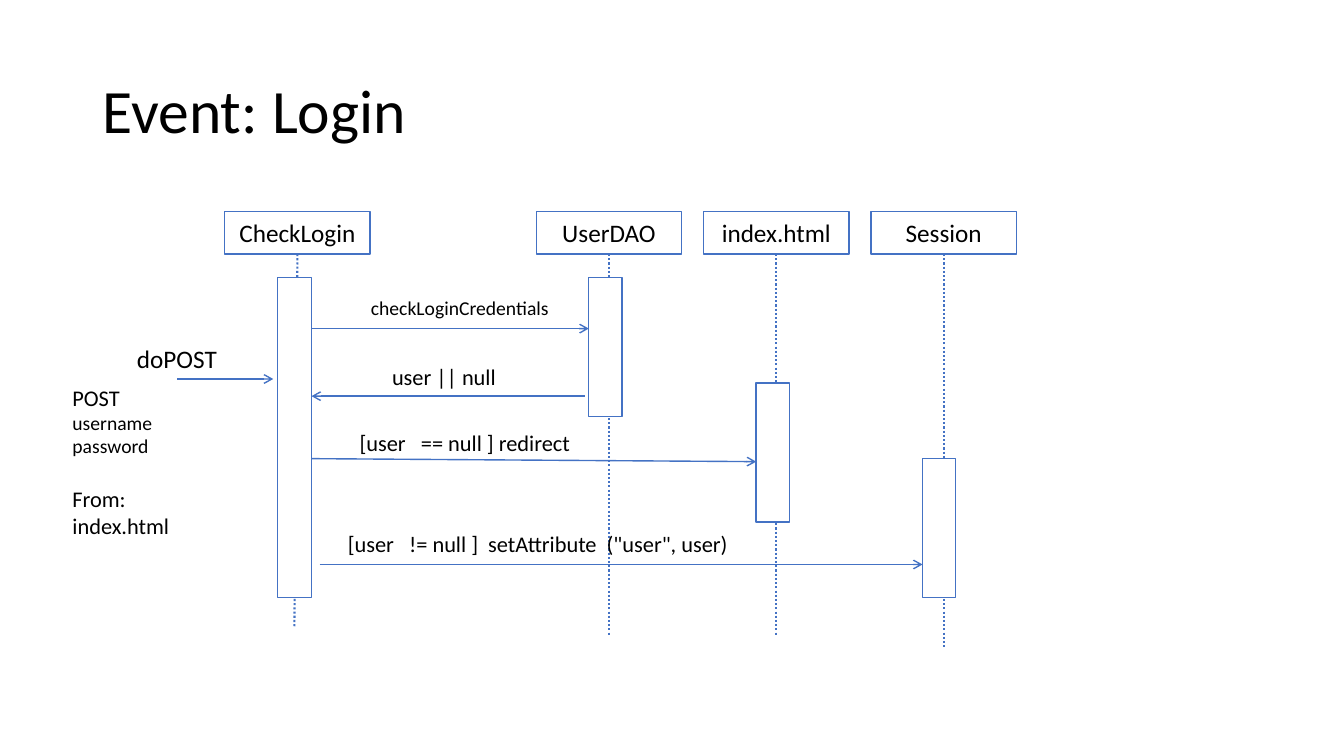
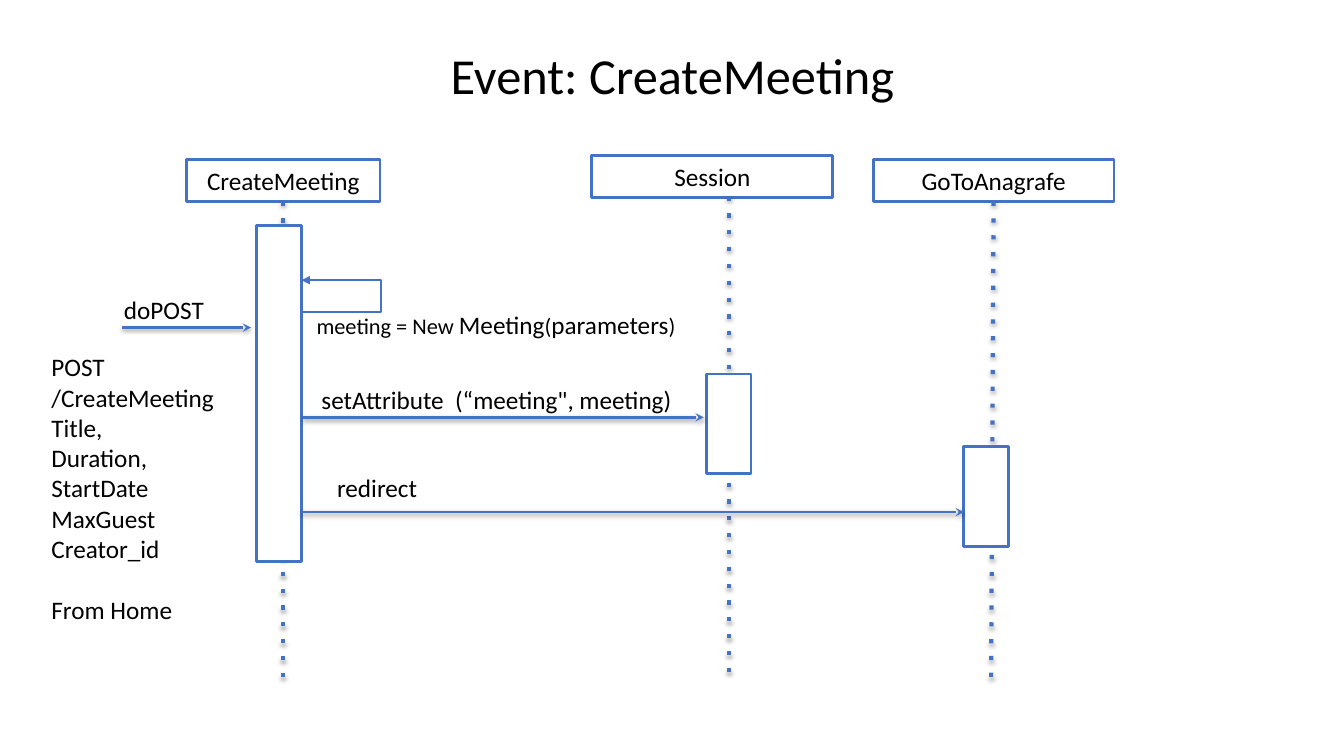
from dataclasses import dataclass

from lxml import etree
from pptx import Presentation
from pptx import util as u
from pptx.dml import color as dml
from pptx.enum import shapes, text
from pptx.oxml import ns

HUES = {"ink": "000000", "paper": "FFFFFF", "line": "4472C4"}
FONT = "Calibri"
HEAD = 0.42
LEFT, MID = text.PP_ALIGN.LEFT, text.PP_ALIGN.CENTER

Point = tuple[float, float]
Box = tuple[float, float, float, float]


@dataclass(frozen=True)
class Look:
    edge: float
    dots: float
    dash: str
    tip: str
    pad: Point
    shade: bool


@dataclass(frozen=True)
class Para:
    runs: tuple[tuple[str, float], ...]
    gap: float = 0


@dataclass(frozen=True)
class Label:
    at: Box
    paras: list[Para]
    align: text.PP_ALIGN = LEFT
    wrap: bool = True
    grow: bool = False
    pad: Point = (0.1, 0.05)


@dataclass(frozen=True)
class Lane:
    name: str
    head: tuple[float, float, float]
    start: Point
    end: Point
    bar: Box


@dataclass(frozen=True)
class Call:
    start: Point
    end: Point


@dataclass(frozen=True)
class Page:
    title: Label
    look: Look
    lanes: list[Lane]
    calls: list[Call]
    labels: list[Label]


def one(words: str, size: float, gap: float = 0) -> Para:
    return Para(((words, size),), gap)


def tint(name: str) -> dml.RGBColor:
    return dml.RGBColor.from_string(HUES[name])


def node(parent, tag: str, **attrs):
    return etree.SubElement(parent, ns.qn(tag), attrs)


def write(frame, paras: list[Para], align: text.PP_ALIGN, pad: Point) -> None:
    frame.margin_left = frame.margin_right = u.Inches(pad[0])
    frame.margin_top = frame.margin_bottom = u.Inches(pad[1])
    for i, para in enumerate(paras):
        line = frame.add_paragraph() if i else frame.paragraphs[0]
        line.alignment = align
        if para.gap:
            line.space_before = u.Pt(para.gap)
        for words, size in para.runs:
            run = line.add_run()
            run.text = words
            run.font.name = FONT
            run.font.size = u.Pt(size)
            run.font.color.rgb = tint("ink")


def add_label(slide, label: Label):
    frame = slide.shapes.add_textbox(*map(u.Inches, label.at)).text_frame
    write(frame, label.paras, label.align, label.pad)
    frame.word_wrap = label.wrap
    if label.grow:
        frame.auto_size = text.MSO_AUTO_SIZE.SHAPE_TO_FIT_TEXT
    return frame


def add_title(slide, label: Label) -> None:
    frame = add_label(slide, label)
    frame.vertical_anchor = text.MSO_ANCHOR.MIDDLE
    frame.paragraphs[0].line_spacing = 0.9


def add_box(slide, at: Box, look: Look):
    box = slide.shapes.add_shape(shapes.MSO_SHAPE.RECTANGLE, *map(u.Inches, at))
    box.shadow.inherit = False
    box.fill.solid()
    box.fill.fore_color.rgb = tint("paper")
    box.line.color.rgb = tint("line")
    box.line.width = u.Pt(look.edge)
    return box


def add_line(slide, start: Point, end: Point, width: float, dash: str = "",
             tip: str = "", shade: float = 0, bent: bool = False):
    kinds = shapes.MSO_CONNECTOR
    kind = kinds.ELBOW if bent else kinds.STRAIGHT
    line = slide.shapes.add_connector(kind, *map(u.Inches, (*start, *end)))
    line.line.color.rgb = tint("line")
    line.line.width = u.Pt(width)
    edge = line.get_or_add_ln()
    if dash:
        node(edge, "a:prstDash", val=dash)
    if tip:
        node(edge, "a:tailEnd", type=tip)
    glow = node(line._element.spPr, "a:effectLst")
    if shade:
        cast = node(glow, "a:outerShdw", blurRad=str(u.Pt(3.1)),
                    dist=str(u.Pt(shade)), dir="5400000", rotWithShape="0")
        hue = node(cast, "a:srgbClr", val=HUES["ink"])
        node(hue, "a:alpha", val="36000")
    return line


def add_lane(slide, lane: Lane, look: Look) -> None:
    x, y, wide = lane.head
    head = add_box(slide, (x, y, wide, HEAD), look)
    head.text_frame.vertical_anchor = text.MSO_ANCHOR.MIDDLE
    write(head.text_frame, [one(lane.name, 18)], MID, look.pad)
    line = add_line(slide, lane.start, lane.end, look.dots, look.dash,
                    shade=1.8 if look.shade else 0)
    if abs(x + wide / 2 - lane.start[0]) < 0.02:
        line.begin_connect(head, 2)
    add_box(slide, lane.bar, look)


def add_loop(slide) -> None:
    turn, back = (3.77, 2.78), (2.99, 2.78)
    bend = add_line(slide, (3.01, 3.1), turn, 1.5, bent=True)
    shape = bend._element.spPr.find(ns.qn("a:prstGeom"))
    sizes = shape.find(ns.qn("a:avLst"))
    node(sizes, "a:gd", name="adj1", fmla="val 101800")
    add_line(slide, turn, back, 1.5, tip="triangle")


def add_page(deck, page: Page):
    slide = deck.slides.add_slide(deck.slide_layouts[6])
    look = page.look
    add_title(slide, page.title)
    for lane in page.lanes:
        add_lane(slide, lane, look)
    for call in page.calls:
        add_line(slide, call.start, call.end, look.edge, tip=look.tip,
                 shade=1.6 if look.shade else 0)
    for label in page.labels:
        add_label(slide, label)
    return slide


THIN = Look(1, 1.5, "sysDot", "arrow", (0.1, 0.05), False)
BOLD = Look(2, 3, "dot", "stealth", (0.13, 0.07), True)


def thin_lane(name: str, x: float, foot: Point, bar: Box) -> Lane:
    return Lane(name, (x, 2.1, 1.44), (x + 0.72, 2.52), foot, bar)


LOGIN = Page(
    Label((0.92, 0.4, 11.5, 1.45), [one("Event: Login", 44)]),
    THIN,
    [
        thin_lane("CheckLogin", 2.23, (2.92, 6.23), (2.75, 2.75, 0.34, 3.18)),
        thin_lane("UserDAO", 5.32, (6.04, 6.31), (5.84, 2.75, 0.33, 1.38)),
        thin_lane("index.html", 6.98, (7.7, 6.31), (7.5, 3.8, 0.33, 1.38)),
        thin_lane("Session", 8.64, (9.36, 6.43), (9.15, 4.55, 0.33, 1.38)),
    ],
    [
        Call((1.76, 3.76), (2.71, 3.76)),
        Call((3.09, 3.26), (5.84, 3.26)),
        Call((5.8, 3.93), (3.09, 3.93)),
        Call((3.09, 4.55), (7.5, 4.58)),
        Call((3.17, 5.6), (9.15, 5.6)),
    ],
    [
        Label((1.26, 3.36, 1, 0.4), [one("doPOST", 18)], wrap=False, grow=True),
        Label((3.58, 2.89, 1.99, 0.34), [one("checkLoginCredentials", 14)],
              wrap=False, grow=True),
        Label((3.79, 3.55, 1.24, 0.37), [one("user || null", 16)],
              wrap=False, grow=True),
        Label((3.45, 4.21, 2.32, 0.37), [one("[user   == null ] redirect", 16)],
              MID, wrap=False, grow=True),
        Label((3.21, 5.21, 4.25, 0.37),
              [one('[user   != null ]  setAttribute  ("user", user)', 16)],
              MID, grow=True),
        Label((0.62, 3.76, 1.72, 1.65),
              [one("POST", 16), one("username", 14), one("password", 14),
               one("From: index.html", 16, 19.5)], grow=True),
    ],
)

FIELDS = ("POST", "/CreateMeeting", "Title,", "Duration,", "StartDate",
          "MaxGuest", "Creator_id")

MEETING = Page(
    Label((0.67, 0.15, 12, 1.25), [one("Event: CreateMeeting", 36)], MID,
          pad=BOLD.pad),
    BOLD,
    [
        Lane("CreateMeeting", (1.85, 1.58, 1.92), (2.81, 2), (2.81, 6.75),
             (2.54, 2.24, 0.45, 3.33)),
        Lane("Session", (5.87, 1.54, 2.39), (7.23, 1.95), (7.23, 6.75),
             (7.01, 3.71, 0.44, 0.99)),
        Lane("GoToAnagrafe", (8.66, 1.58, 2.39), (9.86, 2), (9.83, 6.75),
             (9.56, 4.43, 0.44, 0.99)),
    ],
    [
        Call((1.21, 3.25), (2.49, 3.25)),
        Call((3.01, 4.14), (6.98, 4.14)),
        Call((2.99, 5.08), (9.56, 5.08)),
    ],
    [
        Label((1.1, 2.85, 1.34, 0.4), [one("doPOST", 18)], pad=BOLD.pad),
        Label((3.01, 3, 4.62, 0.34),
              [Para((("meeting = New ", 16), ("Meeting", 18), ("(", 16),
                     ("parameters", 18), (")", 16)))], pad=BOLD.pad),
        Label((3.09, 3.76, 3.75, 0.4),
              [one('setAttribute  (“meeting", meeting)', 18)], grow=True),
        Label((3.13, 4.62, 1.22, 0.37), [one("redirect", 18)], MID,
              pad=BOLD.pad),
        Label((0.38, 3.42, 2.11, 3.33),
              [*(one(field, 18) for field in FIELDS),
               one("From Home", 18, 22)], pad=BOLD.pad),
    ],
)


def main() -> None:
    deck = Presentation()
    deck.slide_width, deck.slide_height = u.Inches(13.33), u.Inches(7.5)
    add_page(deck, LOGIN)
    add_loop(add_page(deck, MEETING))
    deck.save("out.pptx")


if __name__ == "__main__":
    main()
